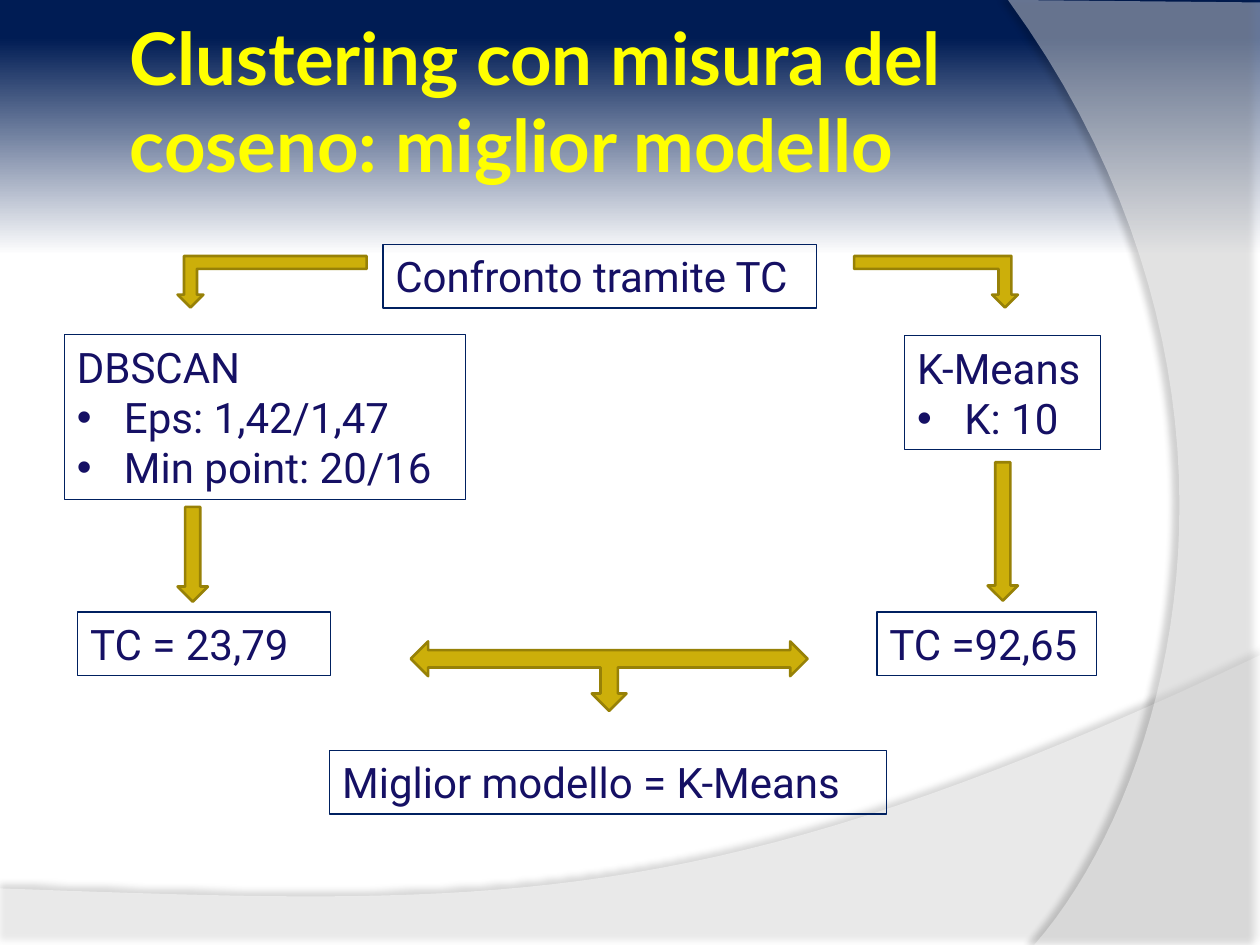
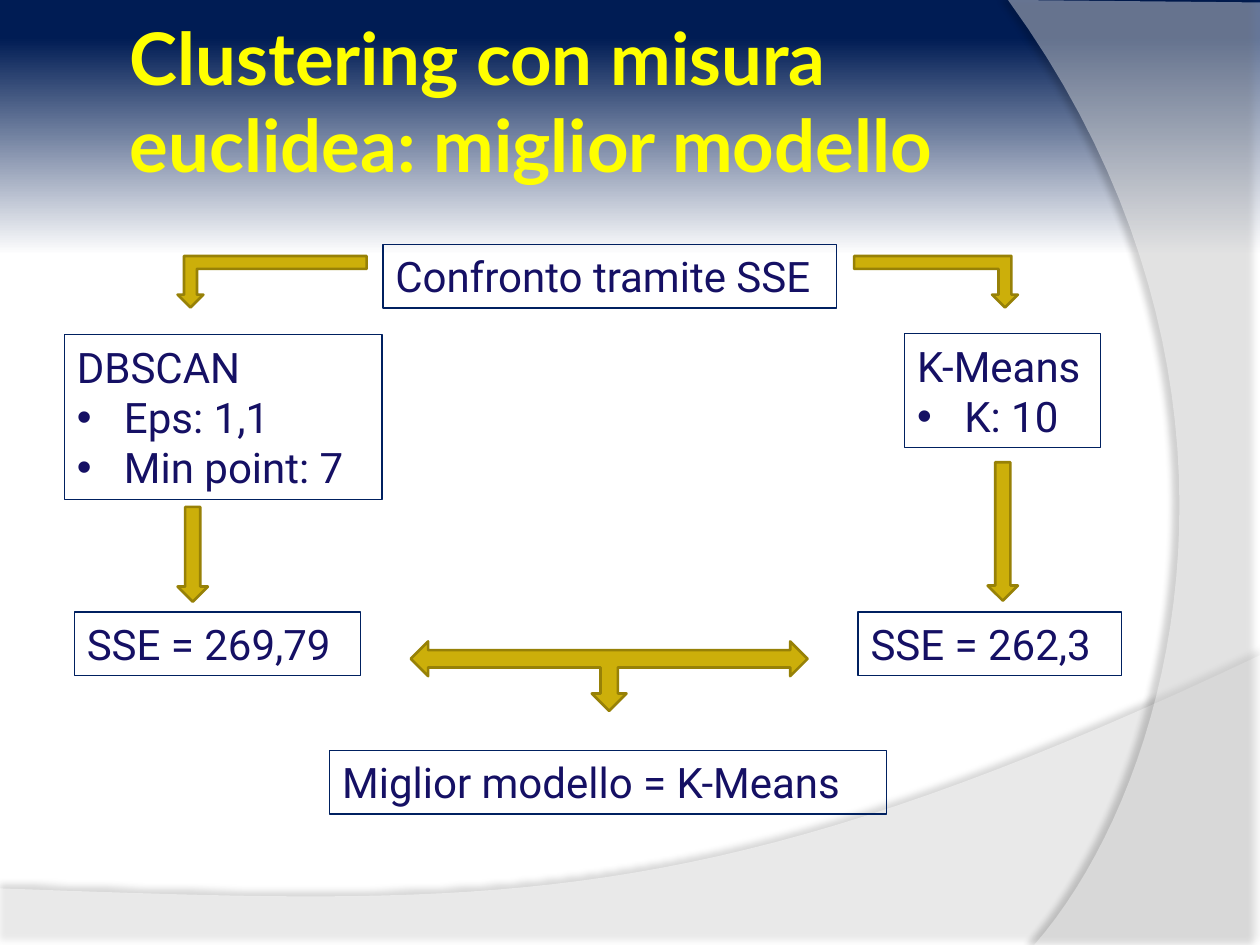
from lxml import etree
from pptx import Presentation
from pptx import util as u
from pptx.dml.color import RGBColor
from pptx.enum import shapes, text
from pptx.oxml import ns

NAVY = RGBColor(0x00, 0x1C, 0x54)
WHITE = RGBColor(0xFF, 0xFF, 0xFF)
BLACK = RGBColor(0x00, 0x00, 0x00)
YELLOW = RGBColor(0xFF, 0xFF, 0x00)
INK = RGBColor(0x15, 0x10, 0x64)
BORDER = RGBColor(0x00, 0x20, 0x60)
GOLD = RGBColor(0xCC, 0xAF, 0x0A)
DARK_GOLD = RGBColor(0x97, 0x81, 0x07)

WIDTH, HEIGHT = 25.4, 19.05
LINE_HEIGHT, BOX_PADDING = 1.02, 0.26
BULLET_INDENT = 0.95


def add_xml(parent, tag, **attributes):
    return etree.SubElement(parent, ns.qn(tag), {k: str(v) for k, v in attributes.items()})


def curve(start, control_1, control_2, end, steps=40):
    """Points along a cubic curve, without its start."""
    points = []
    for step in range(1, steps + 1):
        t = step / steps
        weights = ((1 - t) ** 3, 3 * t * (1 - t) ** 2, 3 * t * t * (1 - t), t ** 3)
        corners = (start, control_1, control_2, end)
        points.append(tuple(sum(w * c[axis] for w, c in zip(weights, corners))
                            for axis in (0, 1)))
    return points


class Deck:
    def __init__(self):
        self.presentation = Presentation()
        self.presentation.slide_width = u.Cm(WIDTH)
        self.presentation.slide_height = u.Cm(HEIGHT)
        self.slide = None

    def background(self):
        fill = self.presentation.slide_master.background.fill
        fill.gradient()
        fill.gradient_angle = 270
        for stop, position, color in zip(fill.gradient_stops, (0.04, 0.27), (NAVY, WHITE)):
            stop.position = position
            stop.color.rgb = color

    def wave(self, points, opacity, shadow_opacity, distance, direction):
        """Translucent outline with a soft shadow, kept on the slide master."""
        points = [(u.Cm(x), u.Cm(y)) for x, y in points]
        builder = self.slide.shapes.build_freeform(*points[0])
        builder.add_line_segments(points[1:])
        shape = builder.convert_to_shape()
        shape.fill.solid()
        shape.fill.fore_color.rgb = WHITE
        shape.line.fill.background()
        shape.shadow.inherit = False
        color = shape.element.find(".//" + ns.qn("a:srgbClr"))
        add_xml(color, "a:alpha", val=opacity * 1000)
        effects = shape.element.find(".//" + ns.qn("a:effectLst"))
        shadow = add_xml(effects, "a:outerShdw", blurRad=u.Pt(4), dist=u.Pt(distance),
                         dir=direction * 60000, algn="ctr", rotWithShape=0)
        shadow_color = add_xml(shadow, "a:srgbClr", val=BLACK)
        add_xml(shadow_color, "a:alpha", val=shadow_opacity * 1000)
        self.presentation.slide_master.shapes.element.append(shape.element)

    def new_slide(self, title):
        layout = self.presentation.slide_layouts.get_by_name("Title Only")
        self.slide = self.presentation.slides.add_slide(layout)
        shape = self.slide.shapes.title
        shape.left, shape.top = u.Cm(2.49), u.Cm(0.74)
        shape.width, shape.height = u.Cm(17.45), u.Cm(2.57)
        frame = shape.text_frame
        frame.text = title
        frame.word_wrap = True
        frame.auto_size = text.MSO_AUTO_SIZE.NONE
        frame.vertical_anchor = text.MSO_ANCHOR.MIDDLE
        frame.margin_left = frame.margin_right = u.Cm(0.13)
        frame.margin_top = frame.margin_bottom = u.Cm(0.13)
        paragraph = frame.paragraphs[0]
        paragraph.alignment = text.PP_ALIGN.LEFT
        self.format_font(paragraph, "Lato", 41.4, YELLOW, bold=True)

    def format_font(self, paragraph, name, size, color, bold=False):
        for run in paragraph.runs:
            run.font.name = name
            run.font.size = u.Pt(size)
            run.font.bold = bold
            run.font.color.rgb = color

    def box(self, left, top, width, heading, *bullets):
        lines = (heading, *bullets)
        height = LINE_HEIGHT * len(lines) + BOX_PADDING
        shape = self.slide.shapes.add_textbox(u.Cm(left), u.Cm(top), u.Cm(width), u.Cm(height))
        shape.line.color.rgb = BORDER
        shape.line.width = u.Pt(0.75)
        frame = shape.text_frame
        frame.word_wrap = True
        frame.auto_size = text.MSO_AUTO_SIZE.SHAPE_TO_FIT_TEXT
        frame.text = "\n".join(lines)
        for paragraph in frame.paragraphs:
            self.format_font(paragraph, "Roboto", 24, INK)
        for paragraph in frame.paragraphs[1:]:
            properties = paragraph._p.get_or_add_pPr()
            properties.set("marL", str(u.Cm(BULLET_INDENT)))
            properties.set("indent", str(-u.Cm(BULLET_INDENT)))
            add_xml(properties, "a:buFont", typeface="Arial")
            add_xml(properties, "a:buChar", char="•")

    def arrow(self, kind, left, top, width, height, rotation, mirrored=False):
        shape = self.slide.shapes.add_shape(kind, u.Cm(left), u.Cm(top), u.Cm(width), u.Cm(height))
        shape.rotation = rotation
        shape.shadow.inherit = False
        shape.fill.solid()
        shape.fill.fore_color.rgb = GOLD
        shape.line.color.rgb = DARK_GOLD
        shape.line.width = u.Pt(1.5)
        if mirrored:
            shape.element.spPr.find(ns.qn("a:xfrm")).set("flipH", "1")

    def comparison(self, title, measure, measure_width, dbscan, dbscan_width,
                   k_means_top, dbscan_score, k_means_score):
        self.new_slide(title)

        # Compared models and their scores
        self.box(7.72, 4.93, measure_width, f"Confronto tramite {measure}")
        self.box(1.3, 6.75, dbscan_width, "DBSCAN", *dbscan)
        self.box(18.24, k_means_top, 3.94, "K-Means", "K: 10")
        for left, width, score in (k_means_score, dbscan_score):
            self.box(left, 12.34, width, score)

        # Arrows from the measure to the outcome
        kinds = shapes.MSO_SHAPE
        self.arrow(kinds.BENT_UP_ARROW, 3.58, 5.16, 3.81, 1.04, 180)
        self.arrow(kinds.BENT_UP_ARROW, 17.22, 5.16, 3.3, 1.04, 180, mirrored=True)
        self.arrow(kinds.RIGHT_ARROW, 18.82, 10.41, 2.79, 0.61, 90)
        self.arrow(kinds.RIGHT_ARROW, 2.93, 10.87, 1.91, 0.61, 90)
        self.arrow(kinds.LEFT_RIGHT_UP_ARROW, 8.28, 12.93, 8, 1.4, 180)

        # Outcome
        self.box(6.65, 15.13, 11.22, "Miglior modello = K-Means")


def main():
    deck = Deck()
    deck.background()

    # Slide 1: cosine measure
    deck.comparison("Clustering con misura del coseno: miglior modello", "TC", 8.74,
                    ("Eps: 1,42/1,47", "Min point: 20/16"), 8.08, 6.77,
                    (1.57, 5.1, "TC = 23,79"), (17.68, 4.42, "TC =92,65"))

    # Shared waves
    right_end, left_end = (WIDTH, 13.21), (0, 17.91)
    deck.wave([left_end, (0, HEIGHT), (WIDTH, HEIGHT), right_end,
               *curve(right_end, (14.2, 18.52), (9.93, 18.26), left_end)],
              45, 35, 3.5, 270)
    bottom, top = (20.85, HEIGHT), (20.32, 0)
    deck.wave([(WIDTH, 0.05), (WIDTH, HEIGHT), bottom,
               *curve(bottom, (23.75, 15.72), (25.86, 7.62), top)],
              40, 45, 4, 180)

    # Slide 2: Euclidean measure
    deck.comparison("Clustering con misura euclidea: miglior modello", "SSE", 9.14,
                    ("Eps: 1,1", "Min point: 7"), 6.4, 6.73,
                    (1.5, 5.77, "SSE = 269,79"), (17.3, 5.31, "SSE = 262,3"))

    deck.presentation.save("out.pptx")


if __name__ == "__main__":
    main()
